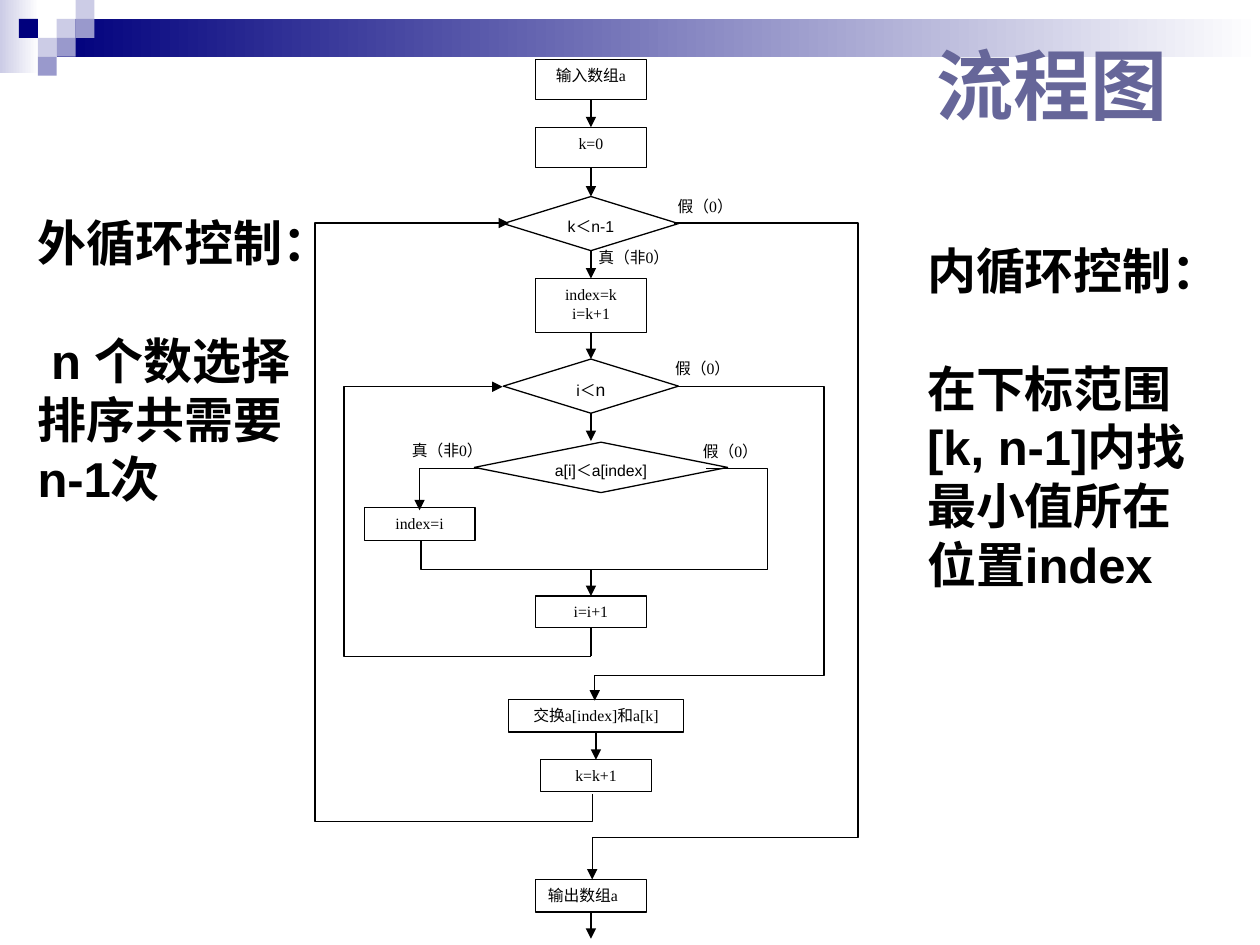
from lxml import etree
from pptx import Presentation
from pptx.dml.color import RGBColor
from pptx.enum import shapes, text
from pptx.oxml.ns import qn
from pptx.util import Inches, Pt

RECT = shapes.MSO_SHAPE.RECTANGLE
DIAMOND = shapes.MSO_SHAPE.DIAMOND
CENTER, JUSTIFY, LEFT = text.PP_ALIGN.CENTER, text.PP_ALIGN.JUSTIFY, text.PP_ALIGN.LEFT
TOP, BOTTOM = 0, 2  # connection sites

SERIF = dict(name="Times New Roman", size=Pt(9), bold=False)
SANS = dict(SERIF, name="Arial")
NOTE = dict(name="Arial", size=Pt(28), bold=True)
TITLE = dict(name="Times New Roman", size=Pt(44), bold=True)


def color(hex_string):
    return RGBColor.from_string(hex_string)


def apply(obj, fmt):
    for key, value in fmt.items():
        setattr(obj, key, value)


def write(sp, lines, font, para, rgb="000000", **frame):
    tf = sp.text_frame
    apply(tf, dict(dict(word_wrap=True, vertical_anchor=text.MSO_ANCHOR.TOP), **frame))
    for i, line in enumerate(lines):
        p = tf.paragraphs[0] if i == 0 else tf.add_paragraph()
        apply(p, para)
        r = p.add_run()
        r.text = line
        apply(r.font, font)
        r.font.color.rgb = color(rgb)


def outline(sp, arrow=False):
    sp.line.color.rgb = color("000000")
    sp.line.width = Pt(0.75)
    if arrow:
        ln = sp.line._get_or_add_ln()
        etree.SubElement(ln, qn("a:tailEnd"), type="triangle")


def block(s, x, y, w, h, kind=RECT):
    sp = s.shapes.add_shape(kind, Inches(x), Inches(y), Inches(w), Inches(h))
    sp.shadow.inherit = False
    return sp


def banner(s, box):
    x, y, w, h = box
    cell = 0.15
    # Fading bands
    for dx, dy, bw, bh, start in [(0, 0, 0.31, h, "CCCCE6"),
                                  (3 * cell, cell, w - 3 * cell, 2 * cell, "00007D")]:
        sp = block(s, x + dx, y + dy, bw, bh)
        sp.line.fill.background()
        sp.fill.gradient()
        sp.fill.gradient_angle = 0
        for stop, rgb in zip(sp.fill.gradient_stops, (start, "FFFFFF")):
            stop.color.rgb = color(rgb)
    # Mosaic squares: column, row, colour
    for col, row, rgb in [(3, 1, "CCCCE6"), (4, 0, "CCCCE6"), (4, 1, "9999CC"), (2, 2, "CCCCE6"),
                          (1, 1, "00007D"), (3, 2, "9999CC"), (2, 3, "9999CC")]:
        sp = block(s, x + col * cell, y + row * cell, cell, cell)
        sp.line.fill.background()
        sp.fill.solid()
        sp.fill.fore_color.rgb = color(rgb)


def heading(s, box):
    sp = s.shapes.title
    apply(sp, dict(zip(("left", "top", "width", "height"), map(Inches, box))))
    write(sp, ["流程图"], TITLE, dict(alignment=LEFT), "666699",
          vertical_anchor=text.MSO_ANCHOR.MIDDLE)
    # Bring the title in front of the banner
    sp.element.getparent().append(sp.element)


def flowchart(s, box):
    left, top = box[:2]
    mid, low_mid = 2.19, 2.23

    # Steps and decisions: centre x, top, width, height, lines
    steps = {
        "input": (mid, 0, 0.88, 0.32, ["输入数组a"]),
        "init": (mid, 0.54, 0.88, 0.32, ["k=0"]),
        "outer": (mid, 1.09, 1.39, 0.43, ["k＜n-1"]),
        "start": (mid, 1.74, 0.88, 0.43, ["index=k", "i=k+1"]),
        "inner": (mid, 2.38, 1.39, 0.43, ["i＜"]),
        "compare": (2.27, 3.04, 2.01, 0.4, ["a[i]＜a[index]"]),
        "store": (0.83, 3.56, 0.88, 0.26, ["index=i"]),
        "step": (mid, 4.26, 0.88, 0.25, ["i=i+1"]),
        "swap": (low_mid, 5.08, 1.39, 0.26, ["交换a[index]和a[k]"]),
        "next": (low_mid, 5.56, 0.88, 0.25, ["k=k+1"]),
        "output": (mid, 6.51, 0.88, 0.26, ["输出数组a"]),
    }
    nodes = {}
    for name, (cx, y, w, h, lines) in steps.items():
        decision = name in ("outer", "inner", "compare")
        sp = block(s, left + cx - w / 2, top + y, w, h, DIAMOND if decision else RECT)
        sp.fill.background()
        outline(sp)
        para = dict(alignment=JUSTIFY if name == "output" else CENTER,
                    space_before=Pt(6 if decision else 0))
        write(sp, lines, SANS if decision else SERIF, para)
        nodes[name] = sp
    r = nodes["inner"].text_frame.paragraphs[0].add_run()
    r.text = "n"
    apply(r.font, dict(SANS, size=Pt(10)))
    r.font.color.rgb = color("000000")

    # Straight links: start step, end step, free start y, free end y, arrow
    for a, b, y1, y2, arrow in [("input", "init", 0, 0, True), ("init", "outer", 0, 0, True),
                                ("outer", "start", 0, 0, True), ("start", "inner", 0, 0, True),
                                ("inner", None, 0, 3.03, True), (None, "step", 4.05, 0, True),
                                ("step", None, 0, 4.74, False), ("swap", "next", 0, 0, True),
                                ("output", None, 0, 6.98, True)]:
        x = Inches(left + mid)
        c = s.shapes.add_connector(shapes.MSO_CONNECTOR.STRAIGHT,
                                   x, Inches(top + y1), x, Inches(top + y2))
        if a:
            c.begin_connect(nodes[a], BOTTOM)
        if b:
            c.end_connect(nodes[b], TOP)
        outline(c, arrow)
        etree.SubElement(c.element.spPr, qn("a:effectLst"))

    # Bent links: branches, merge and loops
    for points, arrow in [
        ([(1.3, 3.25), (0.83, 3.25), (0.83, 3.58)], True),
        ([(0.84, 3.82), (0.84, 4.05), (3.59, 4.05), (3.59, 3.25), (3.1, 3.25)], False),
        ([(2.88, 2.6), (4.04, 2.6), (4.04, 4.89), (2.22, 4.89), (2.22, 5.09)], True),
        ([(2.2, 5.83), (2.2, 6.05), (0, 6.05), (0, 1.3), (1.54, 1.3)], True),
        ([(2.85, 1.3), (4.31, 1.3), (4.31, 6.18), (2.2, 6.18), (2.2, 6.51)], True),
        ([(mid, 4.74), (0.23, 4.74), (0.23, 2.6), (1.49, 2.6)], True),
    ]:
        pts = [(Inches(left + x), Inches(top + y)) for x, y in points]
        path = s.shapes.build_freeform(*pts[0])
        path.add_line_segments(pts[1:], close=False)
        sp = path.convert_to_shape()
        sp.shadow.inherit = False
        sp.fill.background()
        outline(sp, arrow)

    # Branch labels
    for label, w, places in [("假（0）", 0.66, [(2.78, 1.04), (2.98, 2.99), (2.76, 2.33)]),
                             ("真（非0）", 0.88, [(0.67, 2.98), (2.15, 1.45)])]:
        for x, y in places:
            tb = s.shapes.add_textbox(Inches(left + x), Inches(top + y), Inches(w), Inches(0.32))
            write(tb, [label], SERIF, dict(alignment=JUSTIFY))


def side_note(s, box, lines):
    tb = s.shapes.add_textbox(*map(Inches, box))
    write(tb, lines, NOTE, dict(alignment=LEFT), word_wrap=False,
          auto_size=text.MSO_AUTO_SIZE.SHAPE_TO_FIT_TEXT)
    tb.text_frame.paragraphs[0].space_after = Pt(33.6)


def main():
    prs = Presentation()
    prs.slide_width, prs.slide_height = Inches(10), Inches(7.5)
    s = prs.slides.add_slide(prs.slide_layouts[5])
    banner(s, (0, 0, 10, 0.58))
    heading(s, (7.33, 0.33, 2.42, 0.67))
    flowchart(s, (2.5, 0.47, 4.31, 6.98))
    side_note(s, (0.2, 1.64, 2.53, 2.44),
              ["外循环控制：", " n 个数选择", "排序共需要", "n-1次"])
    side_note(s, (7.26, 1.86, 2.53, 2.9),
              ["内循环控制：", "在下标范围", "[k, n-1]内找", "最小值所在", "位置index"])
    prs.save("out.pptx")


if __name__ == "__main__":
    main()
